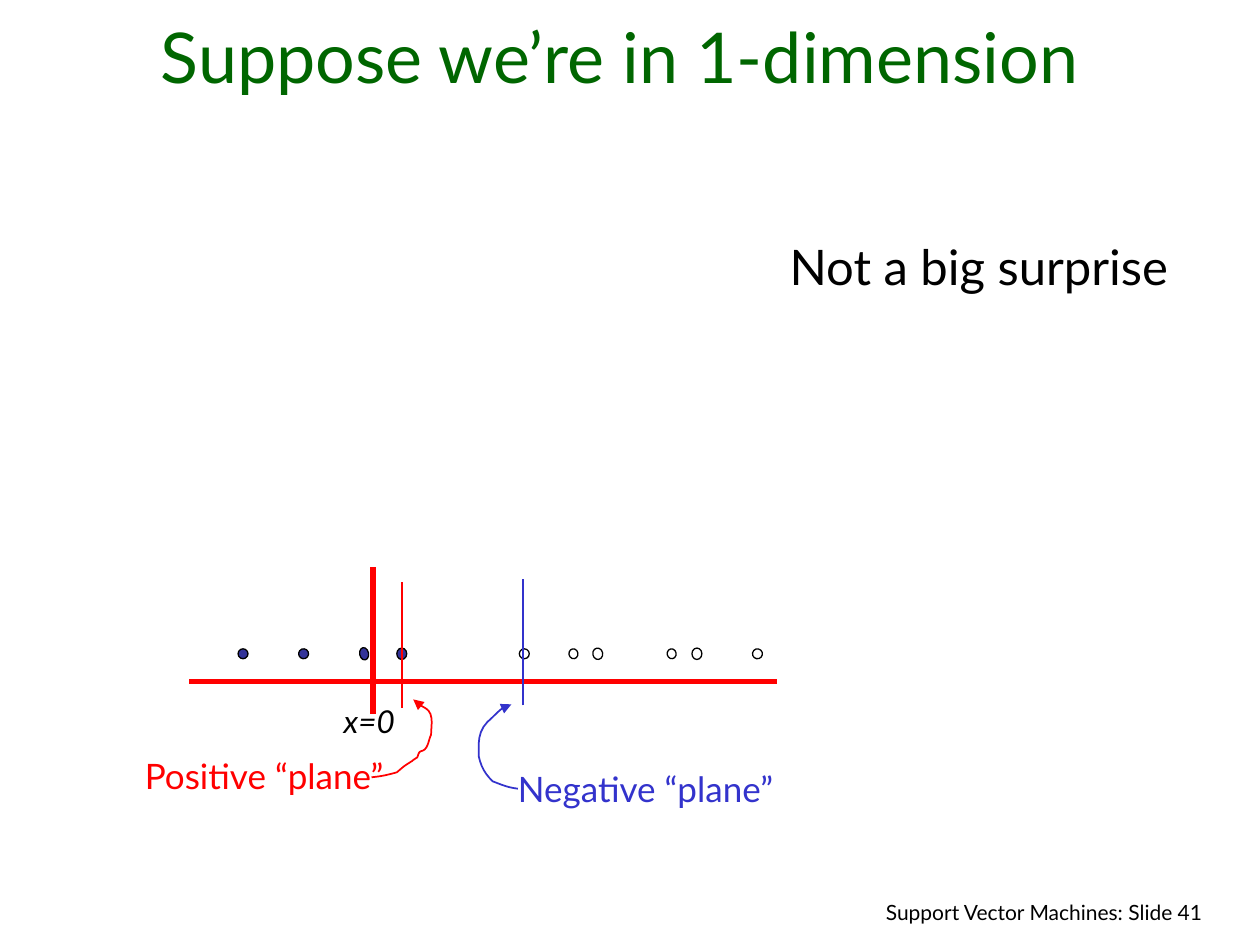
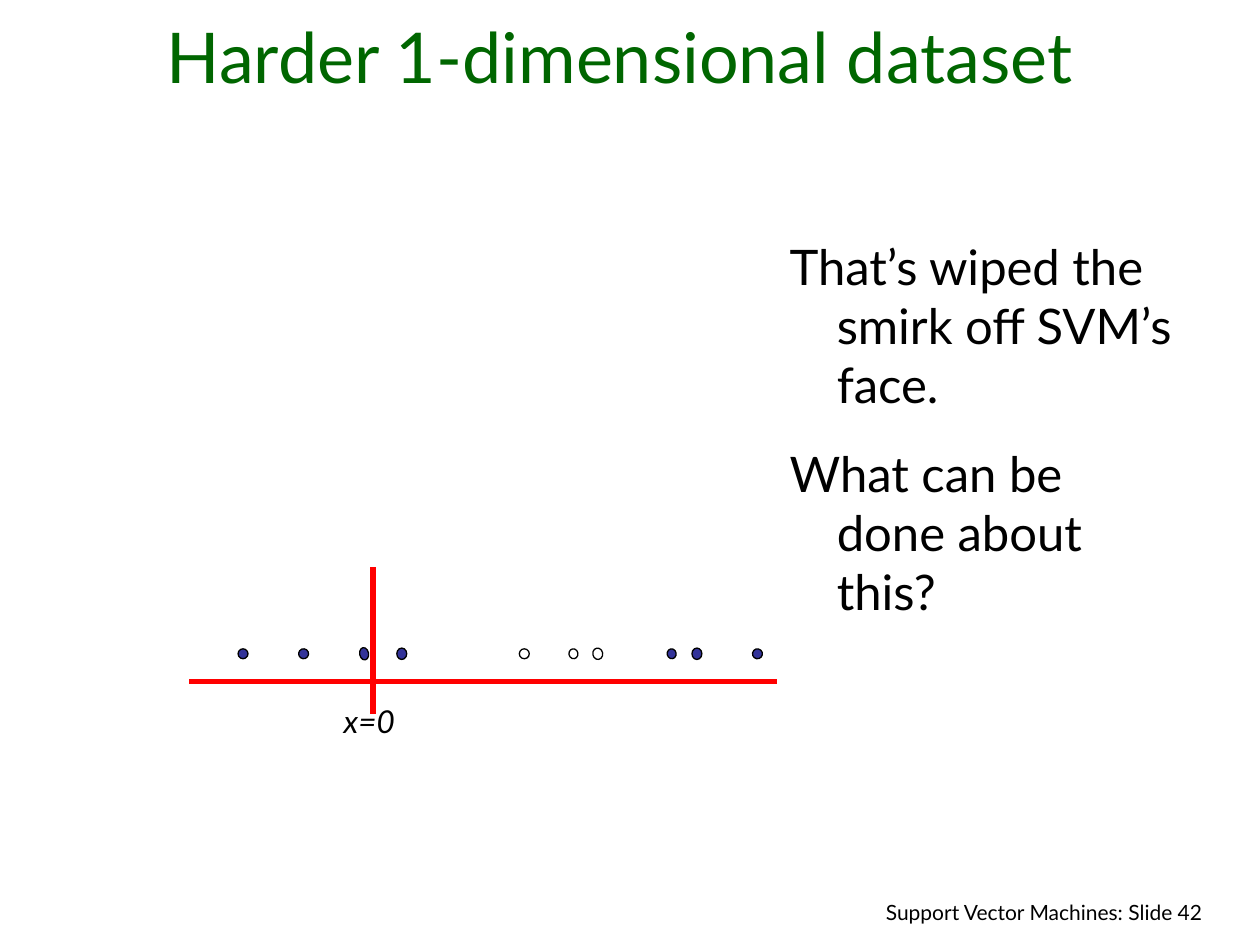
from lxml.etree import SubElement
from pptx import Presentation
from pptx.dml.color import RGBColor
from pptx.enum.shapes import MSO_CONNECTOR, MSO_SHAPE
from pptx.enum.text import MSO_ANCHOR, MSO_AUTO_SIZE, PP_ALIGN
from pptx.oxml.ns import qn
from pptx.util import Cm, Pt

FONT = "Lato"
BLACK, WHITE, GREEN = "000000", "FFFFFF", "006600"
RED, BLUE, NAVY = "FF0000", "3333CC", "333399"
HANG = 0.95
DOT_Y = 13.18
DOTS = [
    (4.90, 0.20, 0.20, 0),
    (6.12, 0.20, 0.20, 98.2),
    (7.34, 0.25, 0.18, 79.6),
    (8.10, 0.20, 0.23, 0),
    (10.57, 0.20, 0.20, 0),
    (11.56, 0.20, 0.18, 79.6),
    (12.05, 0.23, 0.20, 79.6),
    (13.54, 0.20, 0.18, 79.6),
    (14.05, 0.20, 0.23, 0),
    (15.27, 0.20, 0.20, 341.4),
]
POSITIVE_CURVE = [
    (7.49, 15.67), (7.70, 15.65), (7.82, 15.62), (8.00, 15.57),
    (8.18, 15.42), (8.08, 15.49), (8.31, 15.34),
    (8.33, 15.32), (8.41, 15.27), (8.41, 15.27),
    (8.43, 15.24), (8.43, 15.19), (8.46, 15.16),
    (8.48, 15.14), (8.53, 15.14), (8.56, 15.11),
    (8.64, 15.04), (8.64, 14.91), (8.69, 14.81),
    (8.69, 14.66), (8.74, 14.45), (8.64, 14.33),
    (8.59, 14.27), (8.43, 14.20), (8.43, 14.20),
    (8.36, 14.10), (8.41, 14.10), (8.33, 14.10),
]
NEGATIVE_CURVE = [
    (10.44, 15.90), (10.24, 15.88), (10.11, 15.82), (9.93, 15.75),
    (9.78, 15.60), (9.70, 15.47), (9.65, 15.24),
    (9.65, 14.96), (9.63, 14.76), (9.83, 14.55),
    (9.93, 14.48), (10.08, 14.27), (10.24, 14.22),
    (10.26, 14.22), (10.31, 14.20), (10.31, 14.20),
]


def rgb(color):
    return RGBColor.from_string(color)


def set_all(target, values):
    for name, value in values.items():
        setattr(target, name, value)


def set_line(shape, color, width):
    shape.line.color.rgb = rgb(color)
    shape.line.width = Pt(width)


def add_text(s, box, paragraphs, size, color=BLACK, hang=0, italic=None,
             align=PP_ALIGN.LEFT, before=0, anchor=MSO_ANCHOR.TOP,
             fit=MSO_AUTO_SIZE.SHAPE_TO_FIT_TEXT):
    tf = s.shapes.add_textbox(*map(Cm, box)).text_frame
    set_all(tf, {"word_wrap": True, "auto_size": fit, "vertical_anchor": anchor})
    for i, text in enumerate(paragraphs):
        p = tf.add_paragraph() if i else tf.paragraphs[0]
        set_all(p, {"alignment": align, "space_before": Pt(before)})
        if hang:
            pPr = p._p.get_or_add_pPr()
            pPr.set("marL", str(Cm(hang)))
            pPr.set("indent", str(-Cm(hang)))
        r = p.add_run()
        r.text = text
        set_all(r.font, {"name": FONT, "size": Pt(size), "italic": italic})
        r.font.color.rgb = rgb(color)


def add_line(s, start, end, color, width):
    line = s.shapes.add_connector(MSO_CONNECTOR.STRAIGHT, *map(Cm, start + end))
    set_line(line, color, width)
    SubElement(line._element.spPr, qn("a:effectLst"))


def add_dot(s, x, width, height, rotation, fill):
    box = (x - width / 2, DOT_Y - height / 2, width, height)
    dot = s.shapes.add_shape(MSO_SHAPE.OVAL, *map(Cm, box))
    dot.rotation = rotation
    dot.shadow.inherit = False
    dot.fill.solid()
    dot.fill.fore_color.rgb = rgb(fill)
    set_line(dot, BLACK, 0.75)


def bezier_points(controls, steps=6):
    for i in range(0, len(controls) - 1, 3):
        for step in range(1, steps + 1):
            t = step / steps
            weights = ((1 - t) ** 3, 3 * t * (1 - t) ** 2, 3 * t * t * (1 - t), t ** 3)
            yield tuple(
                Cm(sum(w * c[axis] for w, c in zip(weights, controls[i:i + 4])))
                for axis in (0, 1)
            )


def add_curved_arrow(s, controls, color):
    builder = s.shapes.build_freeform(*map(Cm, controls[0]))
    builder.add_line_segments(list(bezier_points(controls)), close=False)
    arrow = builder.convert_to_shape()
    arrow.shadow.inherit = False
    arrow.fill.background()
    set_line(arrow, color, 1)
    SubElement(arrow.line._get_or_add_ln(), qn("a:tailEnd"), type="triangle")


def add_number_line(s, filled):
    add_line(s, (7.52, 11.43), (7.52, 14.40), RED, 3)
    add_line(s, (3.81, 13.74), (15.67, 13.74), RED, 3)
    for i, dot in enumerate(DOTS):
        add_dot(s, *dot, NAVY if i in filled else WHITE)


def add_plane(s, x, bottom, color, label, label_at, curve):
    add_line(s, (x, bottom), (x, bottom - 2.54), color, 1)
    add_text(s, (*label_at, 6.2, 1.12), [label], 20, color, hang=HANG, before=12.5)
    add_curved_arrow(s, curve, color)


def add_dataset_slide(prs, number, title, remarks, remarks_height, filled):
    s = prs.slides.add_slide(prs.slide_layouts[6])
    add_text(s, (14.53, 18.01, 9.96, 0.84), [f"Support Vector Machines: Slide {number}"],
             12, align=PP_ALIGN.RIGHT, before=7.5)
    add_text(s, (0.64, 0.20, 23.70, 1.90), [title], 40, GREEN,
             align=PP_ALIGN.CENTER, anchor=MSO_ANCHOR.BOTTOM, fit=MSO_AUTO_SIZE.NONE)
    add_number_line(s, filled)
    add_text(s, (15.67, 4.65, 8.26, remarks_height), remarks, 28, hang=HANG, before=17.5)
    add_text(s, (6.68, 14.02, 2.51, 1.02), ["x=0"], 18, hang=HANG, italic=True, before=11.2)
    return s


def main():
    prs = Presentation()
    set_all(prs, {"slide_width": Cm(25.4), "slide_height": Cm(19.05)})
    s = add_dataset_slide(prs, 41, "Suppose we’re in 1-dimension",
                          ["Not a big surprise"], 2.64, {0, 1, 2, 3})
    add_plane(s, 8.10, 14.27, RED, "Positive “plane”", (2.67, 15.09), POSITIVE_CURVE)
    add_plane(s, 10.54, 14.22, BLUE, "Negative “plane”", (10.19, 15.34), NEGATIVE_CURVE)
    add_dataset_slide(prs, 42, "Harder 1-dimensional dataset",
                      ["That’s wiped the smirk off SVM’s face.",
                       "What can be done about this?"],
                      8.0, {0, 1, 2, 3, 7, 8, 9})
    prs.save("out.pptx")


if __name__ == "__main__":
    main()
